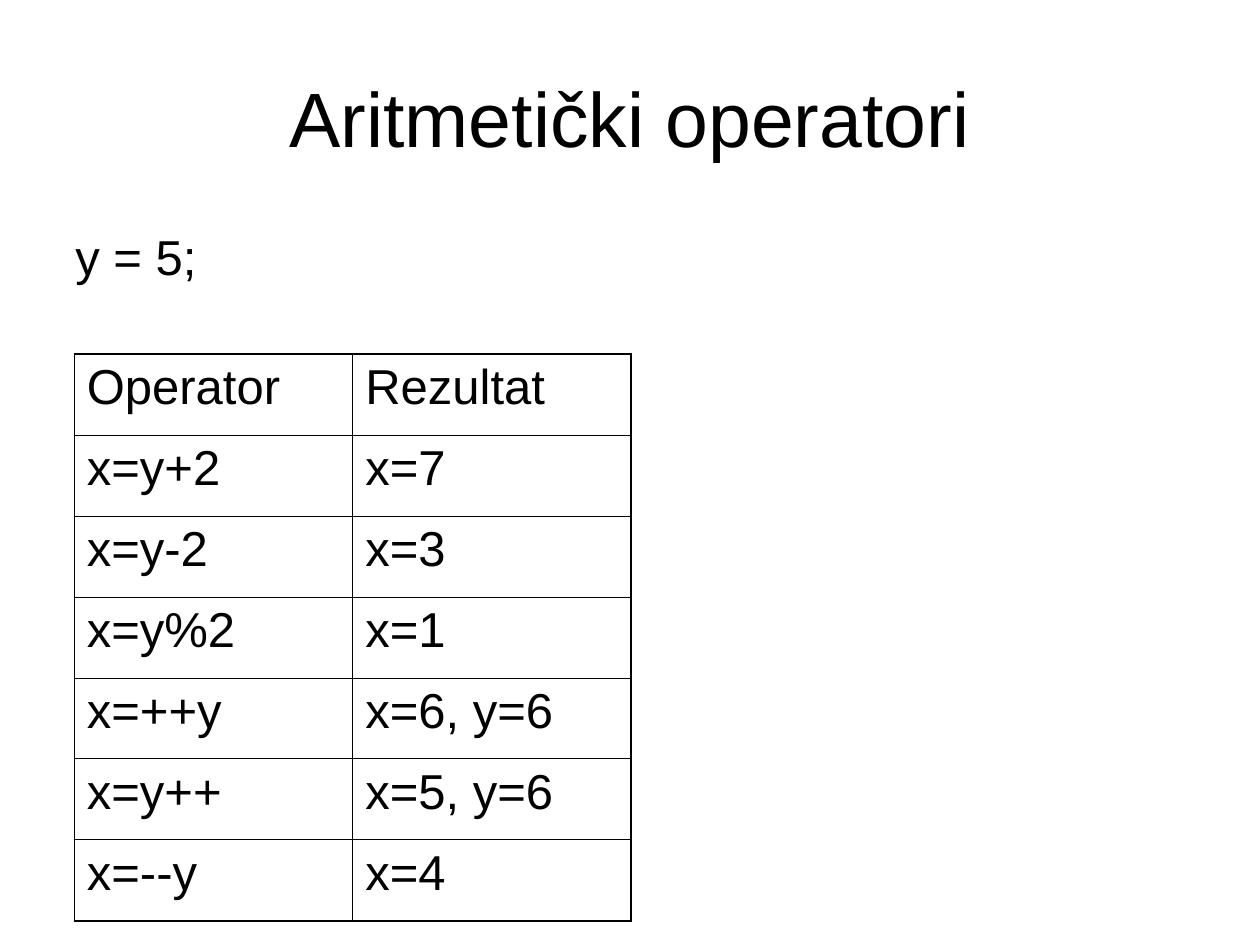
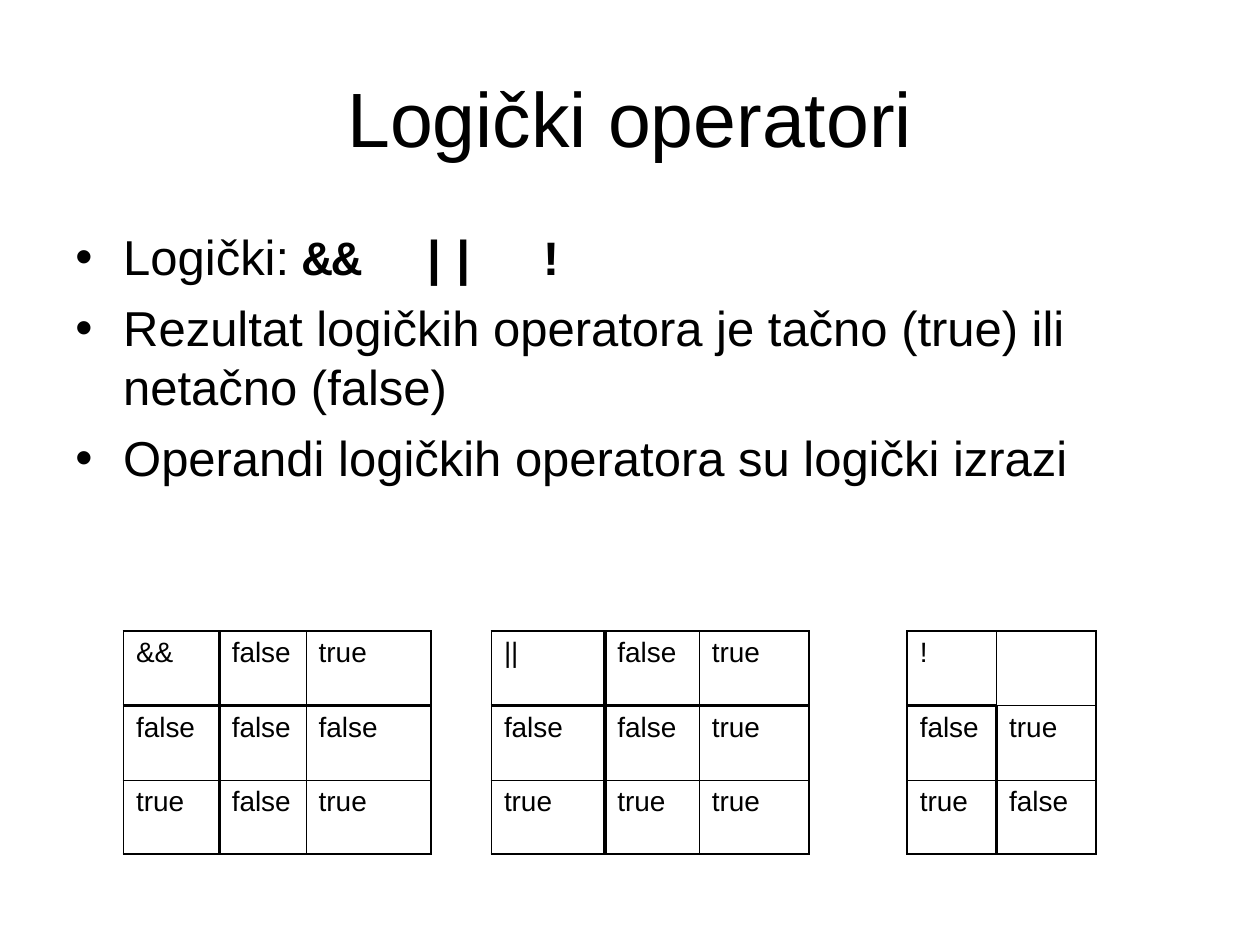
from dataclasses import dataclass

from lxml.etree import SubElement
from pptx import Presentation
from pptx.dml.color import RGBColor
from pptx.enum.text import MSO_ANCHOR as Anchor, PP_ALIGN as Align
from pptx.oxml.ns import qn
from pptx.util import Inches, Pt


@dataclass(frozen=True)
class Theme:
    ink: RGBColor = RGBColor(0, 0, 0)
    font: str = "Arial"
    code_font: str = "Courier New"
    title_size: int = 44
    body_size: int = 28
    truth_size: int = 16
    thin: float = 0.45
    outer: float = 1.08
    thick: float = 2.21


class Deck:
    """Holds the theme and the slide that is being filled."""

    def __init__(self, theme):
        self.theme = theme
        self.prs = Presentation()
        self.prs.slide_width, self.prs.slide_height = Inches(10), Inches(7.5)
        self.slide = None

    def new_slide(self, title):
        self.slide = self.prs.slides.add_slide(self.prs.slide_layouts[6])
        frame = self.text_frame(0.5, 0.3, 9, 1.25)
        frame.vertical_anchor = Anchor.MIDDLE
        heading = frame.paragraphs[0]
        heading.alignment = Align.CENTER
        self.add_text(heading, title, size=self.theme.title_size)

    def text_frame(self, *box):
        frame = self.slide.shapes.add_textbox(*map(Inches, box)).text_frame
        frame.word_wrap = True
        return frame

    def add_text(self, paragraph, text, size, **extra):
        run = paragraph.add_run()
        run.text = text
        style = {"name": self.theme.font, "size": Pt(size), **extra}
        for key, value in style.items():
            setattr(run.font, key, value)
        run.font.color.rgb = self.theme.ink

    def statement(self, text, *box):
        self.add_text(self.text_frame(*box).paragraphs[0], text, self.theme.body_size)

    def bullets(self, items, *box, tab_stops=()):
        """Each item is a list of (text, font extras) runs."""
        frame = self.text_frame(*box)
        for index, runs in enumerate(items):
            paragraph = frame.add_paragraph() if index else frame.paragraphs[0]
            props = paragraph._p.get_or_add_pPr()
            props.set("marL", str(Inches(0.38)))
            props.set("indent", str(-Inches(0.38)))
            SubElement(props, qn("a:buFont"), typeface=self.theme.font)
            SubElement(props, qn("a:buChar"), char="•")
            stops = SubElement(props, qn("a:tabLst"))
            for stop in tab_stops:
                SubElement(stops, qn("a:tab"), pos=str(Inches(stop)), algn="l")
            if index:
                paragraph.space_before = Pt(7)
            for text, extra in runs:
                self.add_text(paragraph, text, self.theme.body_size, **extra)

    def table(self, rows, left, top, widths, row_height, size, weights):
        """weights(row, col) gives the left, right, top and bottom line widths."""
        grid = self.slide.shapes.add_table(
            len(rows), len(widths), Inches(left), Inches(top),
            Inches(sum(widths)), Inches(row_height * len(rows))).table
        grid.first_row = grid.horz_banding = False
        for column, width in zip(grid.columns, widths):
            column.width = Inches(width)
        for r, row in enumerate(rows):
            grid.rows[r].height = Inches(row_height)
            for c, text in enumerate(row):
                cell = grid.cell(r, c)
                self.borders(cell, weights(r, c))
                cell.fill.background()
                if text:
                    self.add_text(cell.text_frame.paragraphs[0], text, size)

    def borders(self, cell, widths):
        props = cell._tc.get_or_add_tcPr()
        for side, width in zip("LRTB", widths):
            line = SubElement(props, qn(f"a:ln{side}"), w=str(Pt(width)))
            fill = SubElement(line, qn("a:solidFill"))
            SubElement(fill, qn("a:srgbClr"), val=str(self.theme.ink))

    def line_weights(self, row_count, col_count, is_thick=lambda axis, r, c: False):
        """Outer frame, thin inner lines, and thick ones where is_thick says so."""
        theme = self.theme

        def vertical(r, edge):
            if edge in (0, col_count):
                return theme.outer
            return theme.thick if is_thick("v", r, edge) else theme.thin

        def horizontal(edge, c):
            if edge in (0, row_count):
                return theme.outer
            return theme.thick if is_thick("h", edge, c) else theme.thin

        return lambda r, c: (vertical(r, c), vertical(r, c + 1),
                             horizontal(r, c), horizontal(r + 1, c))


def binary_separator(axis, row, col):
    return (col if axis == "v" else row) == 1


def unary_separator(axis, row, col):
    """The unary table has no column headings, so its corner stays open."""
    return (col == 1 and row > 0) if axis == "v" else (row == 1 and col == 0)


def arithmetic_slide(deck):
    deck.new_slide("Aritmetički operatori")
    deck.statement("y = 5;", 0.5, 1.75, 4.42, 0.9)
    results = [
        ("Operator", "Rezultat"),
        ("x=y+2", "x=7"),
        ("x=y-2", "x=3"),
        ("x=y%2", "x=1"),
        ("x=++y", "x=6, y=6"),
        ("x=y++", "x=5, y=6"),
        ("x=--y", "x=4"),
    ]
    deck.table(results, 0.59, 2.81, (2.21, 2.21), 4.5 / len(results),
               deck.theme.body_size, deck.line_weights(len(results), 2))


def logic_slide(deck):
    deck.new_slide("Logički operatori")
    code = {"name": deck.theme.code_font, "bold": True}
    deck.bullets([
        [("Logički: ", {}), ("&&\t||\t!", code)],
        [("Rezultat logičkih operatora je tačno (true) ili netačno (false)", {})],
        [("Operandi logičkih operatora su logički izrazi", {})],
    ], 0.5, 1.75, 8.67, 2.79, tab_stops=(2.73, 3.66))

    truth_tables = [
        (0.98, (0.76, 0.69, 0.99), binary_separator,
         [("&&", "false", "true"), ("false", "false", "false"), ("true", "false", "true")]),
        (3.9, (0.9, 0.75, 0.87), binary_separator,
         [("||", "false", "true"), ("false", "false", "true"), ("true", "true", "true")]),
        (7.2, (0.71, 0.79), unary_separator,
         [("!", ""), ("false", "true"), ("true", "false")]),
    ]
    for left, widths, separator, rows in truth_tables:
        deck.table(rows, left, 5.01, widths, 0.59, deck.theme.truth_size,
                   deck.line_weights(len(rows), len(widths), separator))


def main():
    deck = Deck(Theme())
    arithmetic_slide(deck)
    logic_slide(deck)
    deck.prs.save("out.pptx")


if __name__ == "__main__":
    main()
